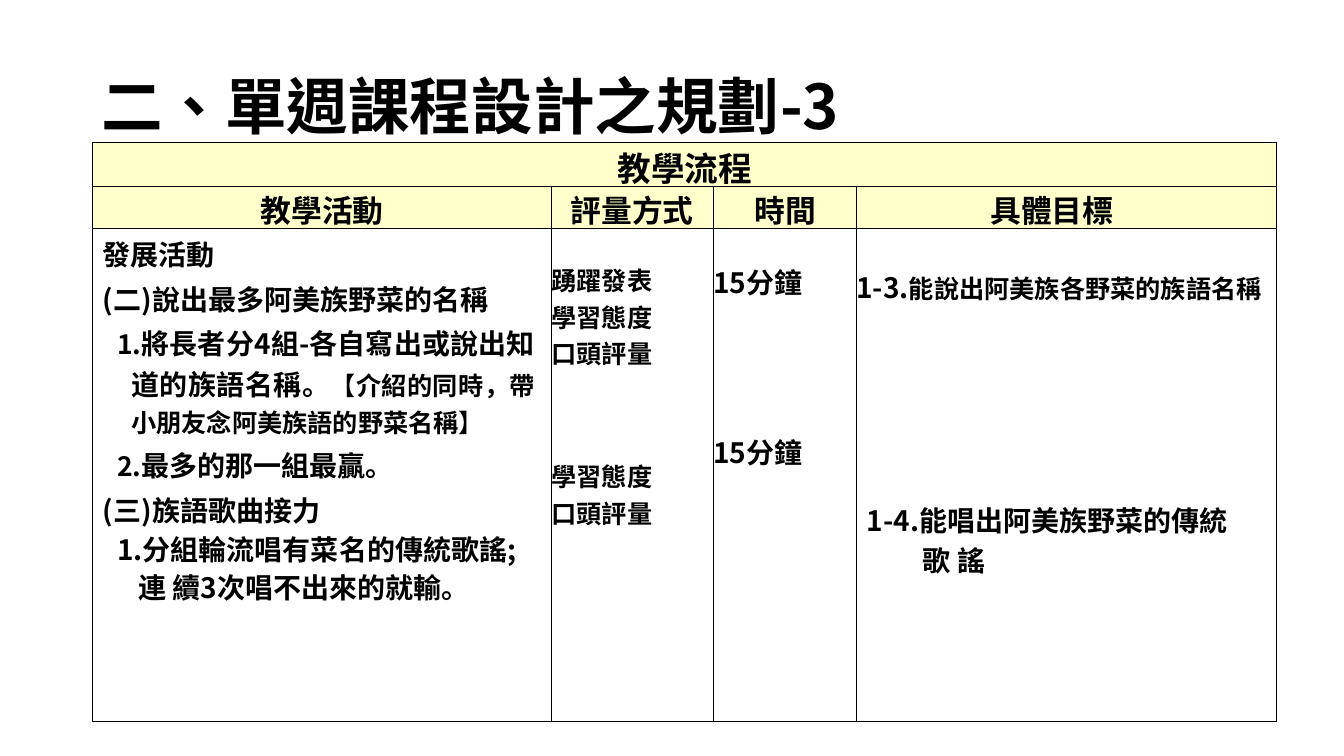
from dataclasses import dataclass
from lxml.etree import SubElement
from pptx import Presentation
from pptx.dml.color import RGBColor
from pptx.enum.lang import MSO_LANGUAGE_ID as Lang
from pptx.enum.text import PP_ALIGN as Align
from pptx.oxml.ns import qn
from pptx.util import Cm, Pt


@dataclass(frozen=True)
class Theme:
    font: str = "Noto Sans CJK TC"
    stop_font: str = "Noto Sans CJK KR"
    ink: str = "000000"
    header: str = "FFFFCC"
    border: float = 0.75
    title: float = 44
    banner: float = 24
    heading: float = 22
    body: float = 20
    small: float = 18


T = Theme()

# Content: a run is text or (text, format); a paragraph is (runs, format)
STOP = ("。", {"name": T.stop_font})
SMALL = {"size": T.small}
LIGHT = {"size": T.small, "bold": False}
SECTION = {"left": 0.25}
STEP = {"indent": -0.36, "number": True}

TITLE = ("二、單週課程設計之規劃-3", {"language_id": Lang.TRADITIONAL_CHINESE})
BANNER = "教學流程"
HEADINGS = [("教學活動", {"align": Align.CENTER}), ("評量方式", {"left": 0.48}),
            ("時間", {"left": 1.04}), ("具體目標", {"left": 3.38})]

ACTIVITIES = [
    (["發展活動"], {**SECTION, "before": 2.5}),
    (["(二)說出最多阿美族野菜的名稱"], {**SECTION, "before": 3}),
    (["將長者分4組-各自寫出或說出知 道的族語名稱", STOP, ("【", LIGHT),
      ("介紹的同時，帶 小朋友念阿美族語的野菜名稱", SMALL), ("】", LIGHT)],
     {**STEP, "left": 0.97, "before": 3.1, "line": 0.99, "align": Align.JUSTIFY}),
    (["最多的那一組最贏", STOP], {**STEP, "left": 1.22, "indent": -0.61, "before": 3.2}),
    (["(三)族語歌曲接力"], {**SECTION, "before": 3.2}),
    (["1.分組輪流唱有菜名的傳統歌謠", (";", {"name": T.stop_font}),
      "連 續3次唱不出來的就輸", STOP],
     {"left": 1.14, "indent": -0.53, "before": 1.2, "line": Pt(27)}),
]
ASSESSMENT = [([("踴躍發表 學習態度 口頭評量", SMALL)], {}),
              ([("學習態度 口頭評量", SMALL)], {"before": 62})]
TIMES = [(["15分鐘"], {}), (["15分鐘"], {"before": 92})]
GOALS = [(["1-3.", ("能說出阿美族各野菜的族語名稱", SMALL)], {}),
         (["1-4.能唱出阿美族野菜的傳統\v歌 謠"],
          {"left": 1.68, "indent": -1.42, "before": 137})]

# Body columns: paragraphs, top margin, right margin
BODY = [(ACTIVITIES, 0.1, 0.42), (ASSESSMENT, 0.82, 1.2),
        (TIMES, 0.81, 0), (GOALS, 0.94, 0)]

# Geometry in centimetres
TITLE_BOX = (2.54, 1.7, 29.6, 1.87)
TABLE_AT = (2.34, 3.58)
COLUMNS = [11.56, 4.07, 3.61, 10.59]
ROWS = [1.13, 1.06, 12.4]


def add_run(p, text, size, fmt):
    r = p.add_run()
    r.text = text
    values = {"name": T.font, "size": size, "bold": True, **fmt}
    values["size"] = Pt(values["size"])
    for key, value in values.items():
        setattr(r.font, key, value)
    r.font.color.rgb = RGBColor.from_string(T.ink)
    SubElement(r.font._element, qn("a:ea"), typeface=values["name"])


def add_paragraph(p, runs, size, left=0, indent=0, before=0, line=None,
                  align=Align.LEFT, number=False):
    values = {"alignment": align, "space_before": Pt(before), "line_spacing": line}
    for key, value in values.items():
        setattr(p, key, value)
    pPr = p._p.get_or_add_pPr()
    pPr.set("marL", str(Cm(left)))
    pPr.set("indent", str(Cm(indent)))
    if number:
        SubElement(pPr, qn("a:buSzPct"), val="95000")
        SubElement(pPr, qn("a:buAutoNum"), type="arabicPeriod")
    for run in runs:
        text, fmt = run if isinstance(run, tuple) else (run, {})
        for i, part in enumerate(text.split("\v")):
            if i:
                p.add_line_break()
            add_run(p, part, size, fmt)


def set_margins(target, top, right=0):
    for side, value in {"left": 0, "top": top, "right": right, "bottom": 0}.items():
        setattr(target, f"margin_{side}", Cm(value))


def fill_cell(cell, paragraphs, size, top, right=0, fill=None):
    set_margins(cell, top, right)
    tf = cell.text_frame
    for i, (runs, fmt) in enumerate(paragraphs):
        p = tf.add_paragraph() if i else tf.paragraphs[0]
        add_paragraph(p, runs, size, **fmt)
    style_cell(cell, fill)


def style_cell(cell, fill=None):
    tcPr = cell._tc.get_or_add_tcPr()
    for side in ("lnL", "lnR", "lnT", "lnB"):
        ln = SubElement(tcPr, qn(f"a:{side}"), w=str(Pt(T.border)))
        SubElement(SubElement(ln, qn("a:solidFill")), qn("a:srgbClr"), val=T.ink)
    if fill:
        cell.fill.solid()
        cell.fill.fore_color.rgb = RGBColor.from_string(fill)
    else:
        cell.fill.background()


prs = Presentation()
prs.slide_width, prs.slide_height = Cm(33.87), Cm(19.05)
s = prs.slides.add_slide(prs.slide_layouts[6])

# Title, wide enough for a single line
tf = s.shapes.add_textbox(*map(Cm, TITLE_BOX)).text_frame
tf.word_wrap = True
set_margins(tf, 0)
add_paragraph(tf.paragraphs[0], [TITLE], T.title, left=0.03)

# Lesson table
table = s.shapes.add_table(len(ROWS), len(COLUMNS), *map(Cm, TABLE_AT),
                           Cm(sum(COLUMNS)), Cm(sum(ROWS))).table
table.first_row = table.horz_banding = False
for column, width in zip(table.columns, COLUMNS):
    column.width = Cm(width)
for row, height in zip(table.rows, ROWS):
    row.height = Cm(height)

# Banner and column headings
table.cell(0, 0).merge(table.cell(0, len(COLUMNS) - 1))
fill_cell(table.cell(0, 0), [([BANNER], {"align": Align.CENTER})],
          T.banner, 0, fill=T.header)
for c in range(1, len(COLUMNS)):
    style_cell(table.cell(0, c), T.header)
for c, (text, fmt) in enumerate(HEADINGS):
    fill_cell(table.cell(1, c), [([text], fmt)], T.heading, 0, fill=T.header)

# Lesson body
for c, (paragraphs, top, right) in enumerate(BODY):
    fill_cell(table.cell(2, c), paragraphs, T.body, top, right)

prs.save("out.pptx")
